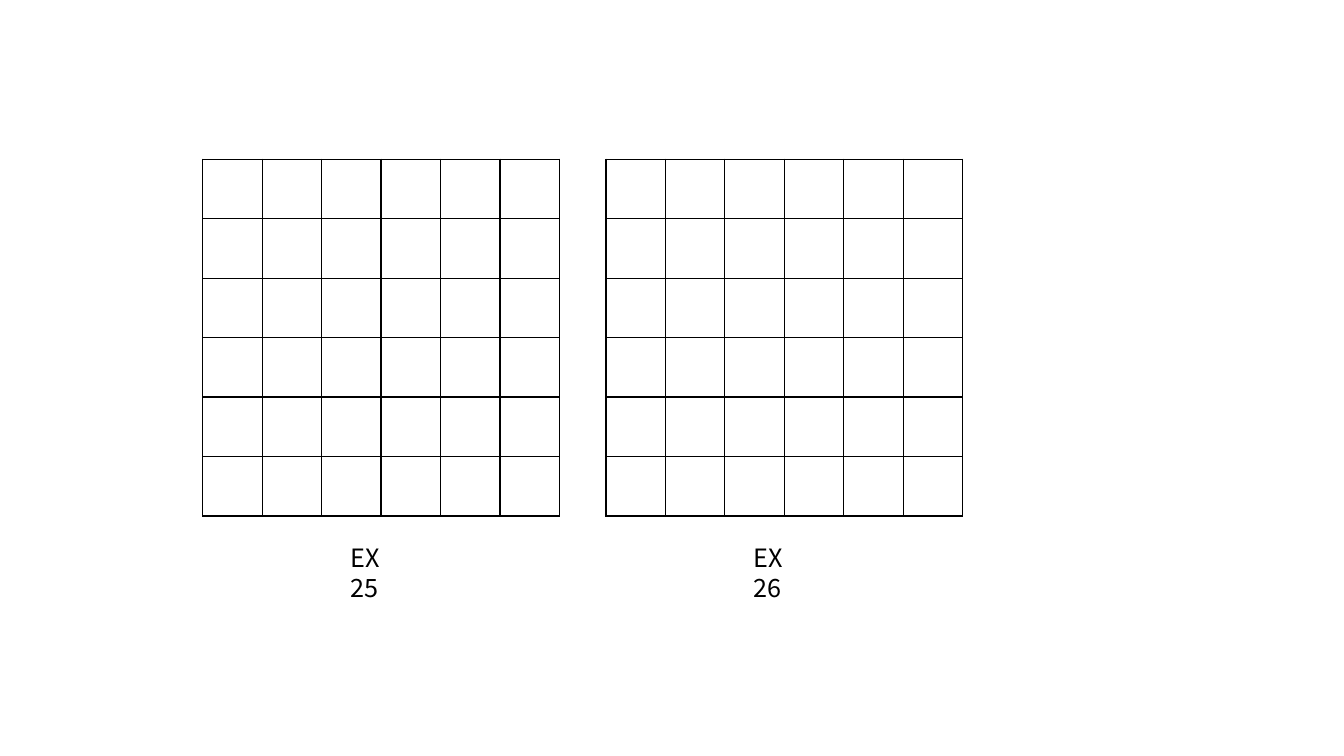
"""Build a slide with two empty exercise grids and their captions."""
from dataclasses import dataclass

from lxml.etree import SubElement
from pptx import Presentation
from pptx.dml.color import RGBColor
from pptx.enum.text import MSO_AUTO_SIZE
from pptx.oxml.ns import qn
from pptx.slide import Slide
from pptx.table import _Cell
from pptx.util import Inches, Pt


@dataclass(frozen=True)
class Theme:
    """Colours, type and line sizes of the slide."""

    ink: str = "000000"
    paper: str = "FFFFFF"
    font: str = "Noto Sans CJK SC"
    caption_size: int = 18
    border_width: int = 1


@dataclass(frozen=True)
class Exercise:
    """A captioned grid, placed by its left edge in inches."""

    caption: str
    left: float


THEME = Theme()
EXERCISES = (Exercise("EX 25", 2.01), Exercise("EX 26", 6.01))
GRID_TOP = 1.58
GRID_COUNT = 6
CELL_SIZE = 0.59
CAPTION_TOP = 5.33
CAPTION_OFFSET = 1.37
CAPTION_WIDTH = 0.8
CAPTION_HEIGHT = 0.4


def style_cell(cell: _Cell) -> None:
    """Give a cell a plain fill and a thin border on all sides."""
    properties = cell._tc.get_or_add_tcPr()
    for side in ("a:lnL", "a:lnR", "a:lnT", "a:lnB"):
        line = SubElement(properties, qn(side), w=str(Pt(THEME.border_width)))
        fill = SubElement(line, qn("a:solidFill"))
        SubElement(fill, qn("a:srgbClr"), val=THEME.ink)
    cell.fill.solid()
    cell.fill.fore_color.rgb = RGBColor.from_string(THEME.paper)


def add_grid(slide: Slide, exercise: Exercise) -> None:
    """Draw the square grid of an exercise."""
    side = Inches(CELL_SIZE * GRID_COUNT)
    table = slide.shapes.add_table(
        GRID_COUNT, GRID_COUNT, Inches(exercise.left), Inches(GRID_TOP), side, side
    ).table
    table.first_row = table.horz_banding = False
    for column in table.columns:
        column.width = Inches(CELL_SIZE)
    for row in table.rows:
        row.height = Inches(CELL_SIZE)
    for cell in table.iter_cells():
        style_cell(cell)


def add_caption(slide: Slide, exercise: Exercise) -> None:
    """Write the caption below the grid of an exercise."""
    shape = slide.shapes.add_textbox(
        Inches(exercise.left + CAPTION_OFFSET),
        Inches(CAPTION_TOP),
        Inches(CAPTION_WIDTH),
        Inches(CAPTION_HEIGHT),
    )
    frame = shape.text_frame
    frame.word_wrap = True
    frame.auto_size = MSO_AUTO_SIZE.SHAPE_TO_FIT_TEXT
    run = frame.paragraphs[0].add_run()
    run.text = exercise.caption
    font_format = {"name": THEME.font, "size": Pt(THEME.caption_size)}
    for attribute, value in font_format.items():
        setattr(run.font, attribute, value)
    run.font.color.rgb = RGBColor.from_string(THEME.ink)


def main() -> None:
    """Build and save the presentation."""
    presentation = Presentation()
    presentation.slide_width = Inches(13.33)
    presentation.slide_height = Inches(7.5)
    slide = presentation.slides.add_slide(presentation.slide_layouts[6])
    for exercise in EXERCISES:
        add_grid(slide, exercise)
        add_caption(slide, exercise)
    presentation.save("out.pptx")


if __name__ == "__main__":
    main()
